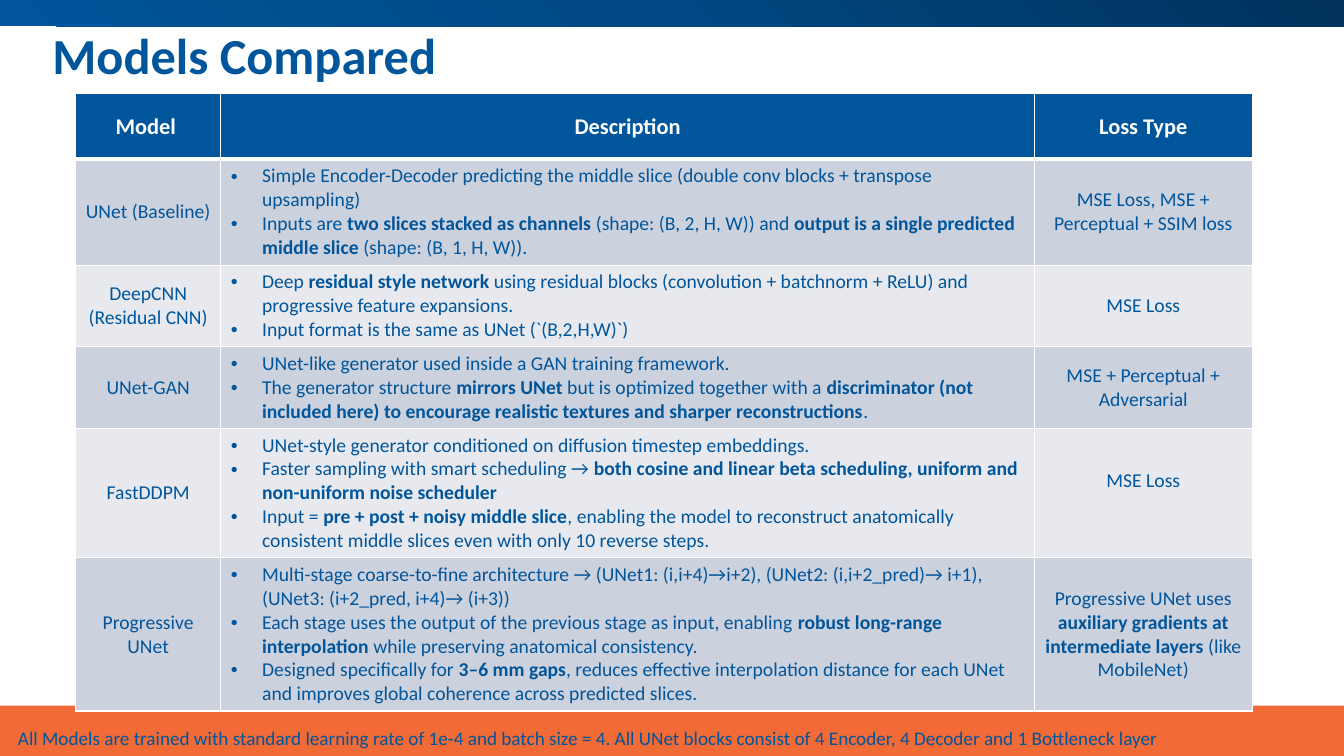
import pptx
import pptx.util
import pptx.oxml
import pptx.oxml.ns
import pptx.dml.color
import pptx.enum.shapes
import pptx.enum.text

Inches = pptx.util.Inches
Pt = pptx.util.Pt
RGBColor = pptx.dml.color.RGBColor
ALIGN = pptx.enum.text.PP_ALIGN
ANCHOR = pptx.enum.text.MSO_ANCHOR
RECT = pptx.enum.shapes.MSO_SHAPE.RECTANGLE
qn = pptx.oxml.ns.qn

BLUE = RGBColor(0x00, 0x55, 0x9B)
MID = RGBColor(0x00, 0x48, 0x83)
NAVY = RGBColor(0x00, 0x32, 0x5C)
WHITE = RGBColor(0xFE, 0xFF, 0xFE)
ORANGE = RGBColor(0xF2, 0x6A, 0x36)
DARK = RGBColor(0xCC, 0xD1, 0xDE)
LIGHT = RGBColor(0xE7, 0xE9, 0xEF)

COLS = [1.44, 8.07, 2.16]
ROWS = [0.65, 1.05, 0.81, 0.81, 1.28, 1.52]
HEADS = ["Model ", "Description", "Loss Type"]
MODELS = [
    ("UNet (Baseline)",
     ["Simple Encoder-Decoder predicting the middle slice (double conv blocks + transpose upsampling)",
      "Inputs are **two slices stacked as channels** (shape: (B, 2, H, W)) and "
      "**output is a single predicted middle slice** (shape: (B, 1, H, W))."],
     "MSE Loss, MSE + Perceptual + SSIM loss"),
    ("DeepCNN (Residual CNN)",
     ["Deep **residual style network** using residual blocks "
      "(convolution + batchnorm + ReLU) and progressive feature expansions.",
      "Input format is the same as UNet (`(B,2,H,W)`)"],
     "MSE Loss"),
    ("UNet-GAN",
     ["UNet-like generator used inside a GAN training framework.",
      "The generator structure **mirrors UNet** but is optimized together with a "
      "**discriminator (not included here) to encourage realistic textures "
      "and sharper reconstructions**."],
     "MSE + Perceptual + Adversarial"),
    ("FastDDPM",
     ["UNet-style generator conditioned on diffusion timestep embeddings.",
      "Faster sampling with smart scheduling → **both cosine and linear beta scheduling, "
      "uniform and non-uniform noise scheduler**",
      "Input = **pre + post + noisy middle slice**, enabling the model to reconstruct "
      "anatomically consistent middle slices even with only 10 reverse steps."],
     "MSE Loss"),
    ("Progressive UNet",
     ["Multi-stage coarse-to-fine architecture → (UNet1: (i,i+4)→i+2), "
      "(UNet2: (i,i+2_pred)→ i+1), (UNet3: (i+2_pred, i+4)→ (i+3))",
      "Each stage uses the output of the previous stage as input, enabling "
      "**robust long-range interpolation** while preserving anatomical consistency.",
      "Designed specifically for **3–6 mm gaps**, reduces effective interpolation distance "
      "for each UNet and improves global coherence across predicted slices."],
     "Progressive UNet uses **auxiliary gradients at intermediate layers** (like MobileNet)"),
]
NOTE = ("All Models are trained with standard learning rate of 1e-4 and batch size = 4. "
        "All UNet blocks consist of 4 Encoder, 4 Decoder and 1 Bottleneck layer")


def xml(text):
    return pptx.oxml.parse_xml(text.replace(" ", " " + pptx.oxml.ns.nsdecls("a") + " ", 1))


def write(frame, text, size=14, color=BLUE, bold=False, align=ALIGN.LEFT, space=1.0, bullet=False):
    frame.word_wrap = True
    lines = text if isinstance(text, list) else [text]
    for i, line in enumerate(lines):
        para = frame.add_paragraph() if i else frame.paragraphs[0]
        para.alignment = align
        para.line_spacing = space
        para.space_before = Pt(0)
        if bullet:
            props = para._p.get_or_add_pPr()
            props.set("marL", str(Inches(0.31)))
            props.set("indent", str(Inches(-0.31)))
            props.append(xml('<a:buFont typeface="Arial"/>'))
            props.append(xml('<a:buChar char="•"/>'))
        for j, part in enumerate(line.split("**")):
            if part:
                run = para.add_run()
                run.text = part
                run.font.name = "Calibri"
                run.font.size = Pt(size)
                run.font.bold = bold or j % 2 == 1
                run.font.color.rgb = color


def bar(slide, left, top, width, height):
    shape = slide.shapes.add_shape(RECT, Inches(left), Inches(top), Inches(width), Inches(height))
    shape.shadow.inherit = False
    shape.line.fill.background()
    return shape


def header(slide, left, top, width, height):
    band = bar(slide, left, top, width, height)
    band.fill.background()
    props = band._element.spPr
    stops = "".join(f'<a:gs pos="{pos}"><a:srgbClr val="{color}"/></a:gs>'
                    for pos, color in [(0, NAVY), (50000, MID), (100000, BLUE)])
    props.replace(props.find(qn("a:noFill")), xml(
        f'<a:gradFill rotWithShape="1"><a:gsLst>{stops}</a:gsLst><a:path path="circle">'
        '<a:fillToRect l="100000" b="100000"/></a:path></a:gradFill>'))
    title = slide.shapes.title
    title.left, title.top = Inches(left + 0.43), Inches(top + 0.33)
    title.width, title.height = Inches(11.5), Inches(0.5)
    frame = title.text_frame
    frame.auto_size = pptx.enum.text.MSO_AUTO_SIZE.NONE
    frame.vertical_anchor = ANCHOR.MIDDLE
    write(frame, "Models Compared", size=36, bold=True, space=0.9)


def edge(cell, base):
    props = cell._tc.get_or_add_tcPr()
    for i, side in enumerate("LRTB"):
        width = Pt(base if side == "B" else 1)
        props.insert(i, xml(f'<a:ln{side} w="{width}"><a:solidFill><a:srgbClr val="{WHITE}"/>'
                            f'</a:solidFill></a:ln{side}>'))


def paint(cell, text, fill, base=1, **form):
    cell.fill.solid()
    cell.fill.fore_color.rgb = fill
    cell.vertical_anchor = ANCHOR.MIDDLE
    edge(cell, base)
    write(cell.text_frame, text, **form)


def grid(slide, left, top, width, height):
    table = slide.shapes.add_table(len(ROWS), len(COLS), Inches(left), Inches(top),
                                   Inches(width), Inches(height)).table
    table.horz_banding = False
    for col, size in zip(table.columns, COLS):
        col.width = Inches(size)
    for row, size in zip(table.rows, ROWS):
        row.height = Inches(size)
    for c, head in enumerate(HEADS):
        paint(table.cell(0, c), head, BLUE, base=3, size=16, color=WHITE, bold=True,
              align=ALIGN.CENTER)
    for r, model in enumerate(MODELS, 1):
        fill = DARK if r % 2 else LIGHT
        for c, text in enumerate(model):
            cell = table.cell(r, c)
            listed = c == 1
            paint(cell, text, fill, bullet=listed, align=ALIGN.LEFT if listed else ALIGN.CENTER)
            if listed:
                cell.vertical_anchor = ANCHOR.TOP
    table.cell(4, 2).margin_bottom = Inches(0.29)


def footer(slide, left, top, width, height):
    band = bar(slide, left, top, width, height)
    band.fill.solid()
    band.fill.fore_color.rgb = ORANGE


def note(slide, left, top, width, height):
    box = slide.shapes.add_textbox(Inches(left), Inches(top), Inches(width), Inches(height))
    box.text_frame.vertical_anchor = ANCHOR.MIDDLE
    write(box.text_frame, NOTE, size=13.7, space=0.9)


def main():
    deck = pptx.Presentation()
    deck.slide_width, deck.slide_height = Inches(13.33), Inches(7.5)
    slide = deck.slides.add_slide(deck.slide_layouts[5])
    slide.background.fill.solid()
    slide.background.fill.fore_color.rgb = WHITE
    footer(slide, 0, 7, 13.33, 0.5)
    header(slide, -0.01, 0, 13.34, 0.26)
    grid(slide, 0.75, 0.93, sum(COLS), sum(ROWS))
    note(slide, 0.08, 7.08, 11.83, 0.5)
    deck.save("out.pptx")


if __name__ == "__main__":
    main()
